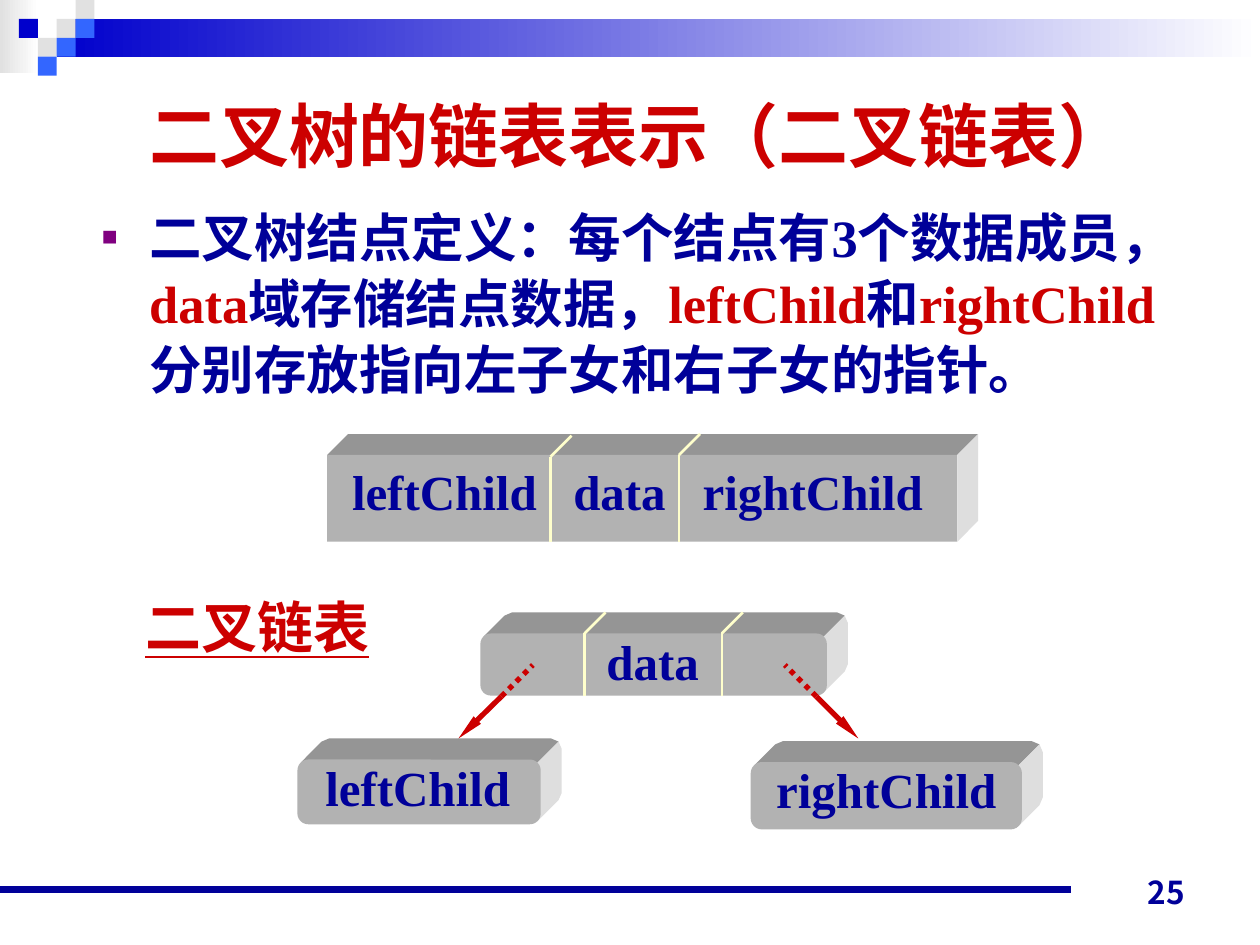
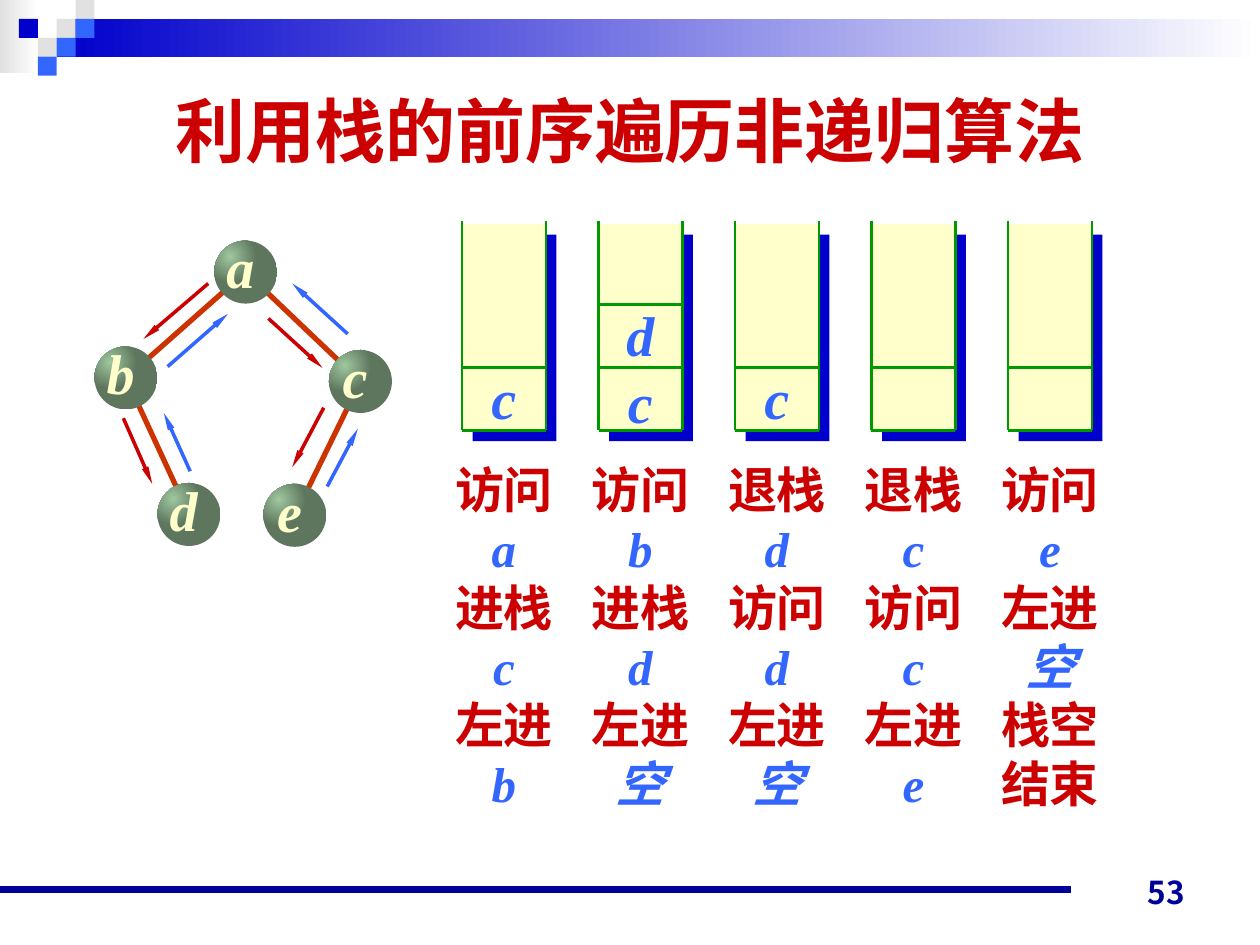
from dataclasses import dataclass, replace
from typing import NamedTuple

from lxml import etree
from pptx import Presentation
from pptx.dml.color import RGBColor
from pptx.enum import dml, shapes, text
from pptx.oxml import parse_xml
from pptx.oxml.ns import nsdecls, qn
from pptx.util import Pt

NAVY = RGBColor(0x00, 0x00, 0x99)
RED = RGBColor(0xCC, 0x00, 0x00)
ROYAL = RGBColor(0x00, 0x00, 0xCC)
BLUE = RGBColor(0x33, 0x66, 0xFF)
MIST = RGBColor(0xE1, 0xE1, 0xE1)
WHITE = RGBColor(0xFF, 0xFF, 0xFF)
CREAM = RGBColor(0xFF, 0xFF, 0xCC)
GREEN = RGBColor(0x00, 0x99, 0x00)
RUST = RGBColor(0xCC, 0x33, 0x00)
PURPLE = RGBColor(0x80, 0x00, 0x80)
NODE_LIGHT = RGBColor(0xA0, 0xC8, 0xA0)
NODE_DARK = RGBColor(0x5E, 0x76, 0x5E)
BLOCK_FRONT = RGBColor(0xB2, 0xB2, 0xB2)
BLOCK_TOP = RGBColor(0x95, 0x95, 0x95)
BLOCK_SIDE = RGBColor(0xDE, 0xDE, 0xDE)

SERIF, SANS, NUMBER_FONT = "Times New Roman", "Arial", "Noto Sans CJK JP"
RECT = shapes.MSO_SHAPE.RECTANGLE
ROUNDED = shapes.MSO_SHAPE.ROUNDED_RECTANGLE
TILE = 10.8
DEPTH = 12


class Point(NamedTuple):
    x: float
    y: float


class Box(NamedTuple):
    left: float
    top: float
    width: float
    height: float


@dataclass(frozen=True)
class Style:
    size: float
    color: RGBColor
    font: str = SERIF
    italic: bool = False
    underline: bool = False


@dataclass(frozen=True)
class Stroke:
    color: RGBColor
    width: float
    arrow: bool = False
    dotted: bool = False


@dataclass(frozen=True)
class Block:
    box: Box
    radius: float = 0


@dataclass(frozen=True)
class Stack:
    items: str
    dividers: int
    steps: str


NAME = Style(28, NAVY)
ITEM = Style(32, BLUE, italic=True)
NODE = replace(ITEM, color=CREAM)
ACTION = Style(28, RED)
OPERAND = Style(28, BLUE, italic=True)
TITLE = Style(40, RED, SANS)
SEAM = Stroke(CREAM, 1.5)
RIM = Stroke(GREEN, 1.5)
EDGE = Stroke(RUST, 3)
POINTER = Stroke(RED, 3, arrow=True)
POINTER_ROOT = Stroke(RED, 3, dotted=True)
DESCEND = Stroke(RED, 2, arrow=True)
RETURN = Stroke(BLUE, 2, arrow=True)

TILES = [(3, 1, MIST), (4, 0, MIST), (4, 1, BLUE), (2, 2, MIST),
         (1, 1, ROYAL), (3, 2, BLUE), (2, 3, BLUE)]

DEFINITION = [
    ("二叉树结点定义：每个结点有3个数据成员，", NAVY), ("data", RED),
    ("域存储结点数据，", NAVY), ("leftChild", RED), ("和", NAVY),
    ("rightChild", RED), ("分别存放指向左子女和右子女的指针。", NAVY)]
BLOCKS = [
    Block(Box(187, 260, 360, 49.6)), Block(Box(274.5, 362, 198, 35.5), 6),
    Block(Box(429, 435.5, 155, 38.5), 6.5), Block(Box(170, 434, 139, 37), 6)]
SEAMS = [(314.6, 261, 309.6), (388, 260, 309.6), (334, 362, 398), (412.5, 362, 398)]
FIELDS = [("leftChild", 254, 260), ("data", 354, 260), ("rightChild", 464.5, 260),
          ("data", 373, 357), ("leftChild", 238.7, 429), ("rightChild", 506.5, 430.5)]
POINTERS = [(Point(304.5, 380), Point(286.5, 398), Point(262, 422)),
            (Point(448.5, 380), Point(466.5, 398), Point(490.5, 422))]

NODES = {"a": Point(140.4, 155.5), "b": Point(72, 216), "c": Point(206, 218),
         "d": Point(108, 294), "e": Point(168.5, 294.5)}
EDGES = ["ab", "ac", "bd", "ce"]
WALK = [
    (Point(119, 162), Point(82, 193.7), DESCEND),
    (Point(70.5, 239), Point(87, 276.5), DESCEND),
    (Point(153.4, 182), Point(184.3, 210.2), DESCEND),
    (Point(185, 233), Point(167, 267), DESCEND),
    (Point(108.7, 269.3), Point(93.6, 236), RETURN),
    (Point(95.8, 209.5), Point(130.3, 179.3), RETURN),
    (Point(187, 278), Point(204.5, 245), RETURN),
    (Point(198.7, 190.8), Point(167, 162), RETURN)]
STACKS = [
    Stack("c", 1, "访问 a 进栈 c 左进 b"), Stack("dc", 2, "访问 b 进栈 d 左进 空"),
    Stack("c", 1, "退栈 d 访问 d 左进 空"), Stack("", 1, "退栈 c 访问 c 左进 e"),
    Stack("", 1, "访问 e 左进 空 栈空 结束")]
STACK_LEFT, STACK_PITCH, STACK_WIDTH = 264, 78, 48
STACK_TOP, STACK_BOTTOM, CELL = 126, 246, 36


def set_font(font, style: Style) -> None:
    font.name, font.size, font.bold = style.font, Pt(style.size), True
    font.italic, font.underline = style.italic, style.underline
    font.color.rgb = style.color


def place(shape, box: Box) -> None:
    shape.left, shape.top, shape.width, shape.height = map(Pt, box)


def paint(shape, color: RGBColor) -> None:
    shape.shadow.inherit = False
    shape.line.fill.background()
    shape.fill.solid()
    shape.fill.fore_color.rgb = color


def paint_gradient(shape, start: RGBColor, end: RGBColor) -> None:
    paint(shape, start)
    shape.fill.gradient()
    shape.fill.gradient_angle = 0
    for stop, color in zip(shape.fill.gradient_stops, (start, end)):
        stop.color.rgb = color


def add_shape(page, kind, box: Box):
    return page.shapes.add_shape(kind, *map(Pt, box))


def add_line(page, start: Point, end: Point, stroke: Stroke) -> None:
    line = page.shapes.add_connector(
        shapes.MSO_CONNECTOR.STRAIGHT, *map(Pt, (*start, *end)))
    line.line.color.rgb = stroke.color
    line.line.width = Pt(stroke.width)
    if stroke.dotted:
        line.line.dash_style = dml.MSO_LINE.ROUND_DOT
    if stroke.arrow:
        etree.SubElement(line.line._get_or_add_ln(), qn("a:tailEnd"),
                         type="triangle", w="sm", len="lg")
    etree.SubElement(line._element.spPr, qn("a:effectLst"))


def add_polygon(page, points: list[Point], color: RGBColor) -> None:
    corners = [(Pt(x), Pt(y)) for x, y in points]
    builder = page.shapes.build_freeform(*corners[0])
    builder.add_line_segments(corners[1:])
    paint(builder.convert_to_shape(), color)


def add_label(page, lines: list[tuple[str, Style]], center: float, top: float) -> None:
    """Centre one paragraph per line on the given x; the height follows the type size."""
    height = sum(style.size for _, style in lines) * 1.2 + 7.2
    box = page.shapes.add_textbox(*map(Pt, (center - 80, top, 160, height)))
    frame = box.text_frame
    frame.word_wrap = True
    frame.vertical_anchor = text.MSO_ANCHOR.MIDDLE
    for index, (words, style) in enumerate(lines):
        para = frame.add_paragraph() if index else frame.paragraphs[0]
        para.text = words
        para.alignment = text.PP_ALIGN.CENTER
        set_font(para.font, style)


def add_page(deck, layout: int, title: str, title_box: Box, number: int):
    """Start a slide with the header band, footer line, number and title."""
    page = deck.slides.add_slide(deck.slide_layouts[layout])
    paint_gradient(add_shape(page, RECT, Box(0, 0, 22, 42)), MIST, WHITE)
    paint_gradient(add_shape(page, RECT, Box(3 * TILE, TILE, 720 - 3 * TILE, 2 * TILE)),
                   ROYAL, WHITE)
    for column, row, color in TILES:
        paint(add_shape(page, RECT, Box(column * TILE, row * TILE, TILE, TILE)), color)
    add_line(page, Point(0, 508.3), Point(612, 508.3), Stroke(NAVY, 4.5))

    footer = page.shapes.add_textbox(*map(Pt, (516, 488, 168, 36))).text_frame
    footer.word_wrap = True
    footer.vertical_anchor = text.MSO_ANCHOR.BOTTOM
    para = footer.paragraphs[0]
    para.text = str(number)
    para.alignment = text.PP_ALIGN.RIGHT
    set_font(para.font, Style(18, NAVY, NUMBER_FONT))

    heading = page.shapes.title
    place(heading, title_box)
    frame = heading.text_frame
    frame.text = title
    frame.auto_size = text.MSO_AUTO_SIZE.NONE
    frame.vertical_anchor = text.MSO_ANCHOR.MIDDLE
    frame.paragraphs[0].alignment = text.PP_ALIGN.CENTER
    set_font(frame.paragraphs[0].font, TITLE)
    return page


def fill_definition(body) -> None:
    place(body, Box(51, 111.6, 638, 124.6))
    body.text_frame.auto_size = text.MSO_AUTO_SIZE.NONE
    para = body.text_frame.paragraphs[0]
    props = para._p.get_or_add_pPr()
    props.set("marL", str(Pt(27)))
    props.set("indent", str(Pt(-27)))
    color = etree.SubElement(props, qn("a:buClr"))
    etree.SubElement(color, qn("a:srgbClr"), val=str(PURPLE))
    etree.SubElement(props, qn("a:buSzPct"), val="50000")
    etree.SubElement(props, qn("a:buFont"), typeface=SANS)
    etree.SubElement(props, qn("a:buChar"), char="■")
    para.line_spacing = 1.05
    para.space_before = Pt(0)
    for words, color in DEFINITION:
        span = para.add_run()
        span.text = words
        set_font(span.font, Style(30, color))


def add_block(page, block: Block) -> None:
    """Draw a solid bar with its top and right faces pushed up and right."""
    left, top, width, height = block.box
    right, bottom, radius = left + width, top + height, block.radius
    cut = 0.3 * radius

    def back(x: float, y: float) -> Point:
        return Point(x + DEPTH, y - DEPTH)

    near_left = Point(left + cut, top + cut)
    near_right = Point(right - cut, top + cut)
    near_low = Point(right - cut, bottom - cut)
    add_polygon(page, [near_left, back(*near_left), back(left + radius, top),
                       back(right - radius, top), back(*near_right), near_right], BLOCK_TOP)
    add_polygon(page, [near_right, back(*near_right), back(right, top + radius),
                       back(right, bottom - radius), back(*near_low), near_low], BLOCK_SIDE)
    front = add_shape(page, ROUNDED if radius else RECT, block.box)
    if radius:
        front.adjustments[0] = 0.167
    paint(front, BLOCK_FRONT)


def add_node(page, name: str, center: Point) -> None:
    ball = add_shape(page, shapes.MSO_SHAPE.OVAL, Box(center.x - 18, center.y - 18, 36, 36))
    paint_gradient(ball, NODE_LIGHT, NODE_DARK)
    ball.fill.gradient_stops[1].position = 0.6
    linear = ball._element.spPr.find(qn("a:gradFill")).find(qn("a:lin"))
    linear.getparent().replace(linear, parse_xml(
        f'<a:path {nsdecls("a")} path="circle">'
        '<a:fillToRect l="25000" t="25000" r="75000" b="75000"/></a:path>'))
    add_label(page, [(name, NODE)], center.x - 3, center.y - 26)


def add_stack(page, stack: Stack, left: float) -> None:
    right, center = left + STACK_WIDTH, left + STACK_WIDTH / 2
    well = add_shape(page, RECT, Box(left, 128, STACK_WIDTH, 118))
    paint(well, CREAM)
    shadow = etree.SubElement(well._element.spPr.find(qn("a:effectLst")), qn("a:outerShdw"),
                              dist=str(Pt(8.5)), dir="2700000", algn="ctr", rotWithShape="0")
    etree.SubElement(shadow, qn("a:srgbClr"), val=str(ROYAL))
    for x in (left, right):
        add_line(page, Point(x, STACK_TOP), Point(x, STACK_BOTTOM), RIM)
    for level in range(stack.dividers + 1):
        y = STACK_BOTTOM - level * CELL
        add_line(page, Point(left, y), Point(right, y), RIM)
    if stack.items:
        add_label(page, [(item, ITEM) for item in stack.items], center,
                  STACK_BOTTOM - 6 - CELL * len(stack.items))
    steps = [(step, OPERAND if len(step) == 1 else ACTION) for step in stack.steps.split()]
    add_label(page, steps, center, 259)


def build_linked_list(deck) -> None:
    page = add_page(deck, 1, "二叉树的链表表示（二叉链表）", Box(41, 37.4, 648, 79), 25)
    fill_definition(page.placeholders[1])
    for block in BLOCKS:
        add_block(page, block)
    for x, top, bottom in SEAMS:
        add_line(page, Point(x, bottom), Point(x, top), SEAM)
        add_line(page, Point(x, top), Point(x + DEPTH, top - DEPTH), SEAM)
    for name, center, top in FIELDS:
        add_label(page, [(name, NAME)], center, top)
    for root, border, child in POINTERS:
        add_line(page, border, root, POINTER_ROOT)
        add_line(page, border, child, POINTER)
    add_label(page, [("二叉链表", Style(32, RED, underline=True))], 147, 335)


def build_traversal(deck) -> None:
    page = add_page(deck, 5, "利用栈的前序遍历非递归算法", Box(36, 36, 648, 75.6), 53)
    for parent, child in EDGES:
        add_line(page, NODES[parent], NODES[child], EDGE)
    for name, center in NODES.items():
        add_node(page, name, center)
    for start, end, stroke in WALK:
        add_line(page, start, end, stroke)
    for index, stack in enumerate(STACKS):
        add_stack(page, stack, STACK_LEFT + index * STACK_PITCH)


def main() -> None:
    deck = Presentation()
    deck.slide_width, deck.slide_height = Pt(720), Pt(540)
    build_linked_list(deck)
    build_traversal(deck)
    deck.save("out.pptx")


if __name__ == "__main__":
    main()
